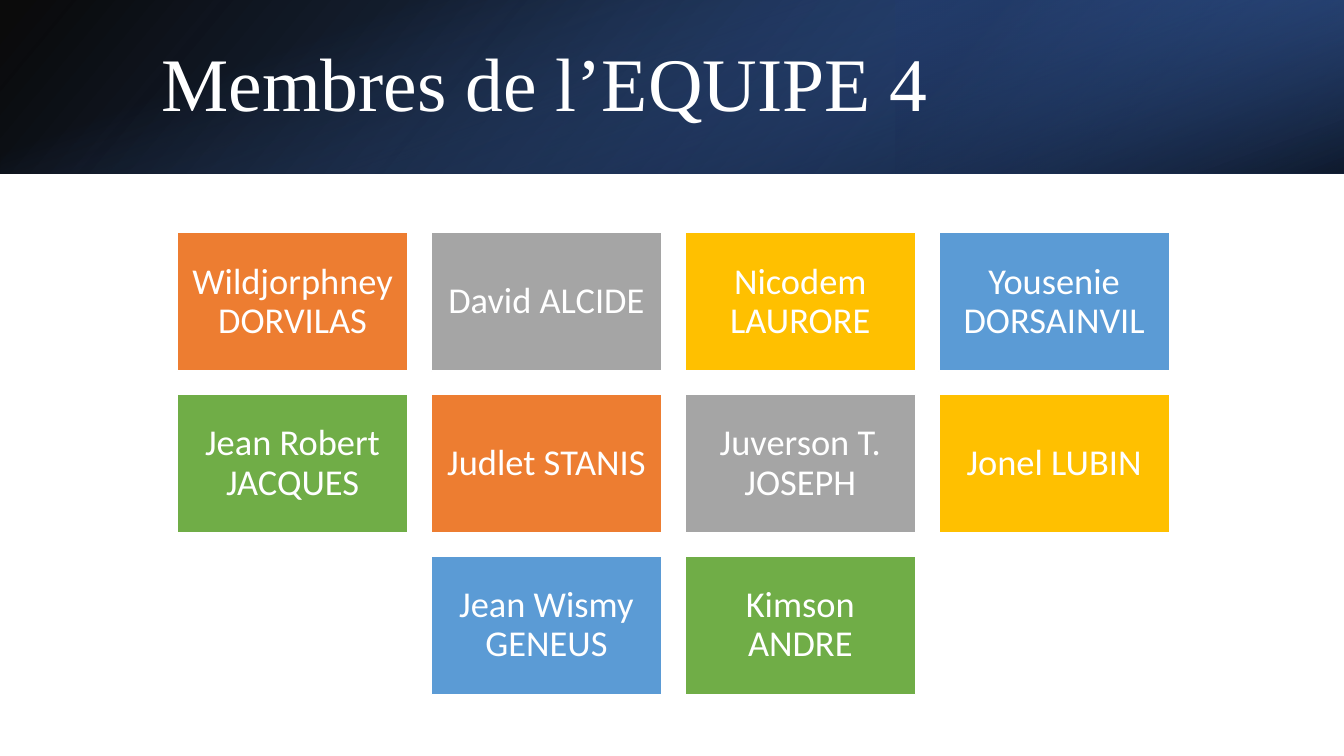
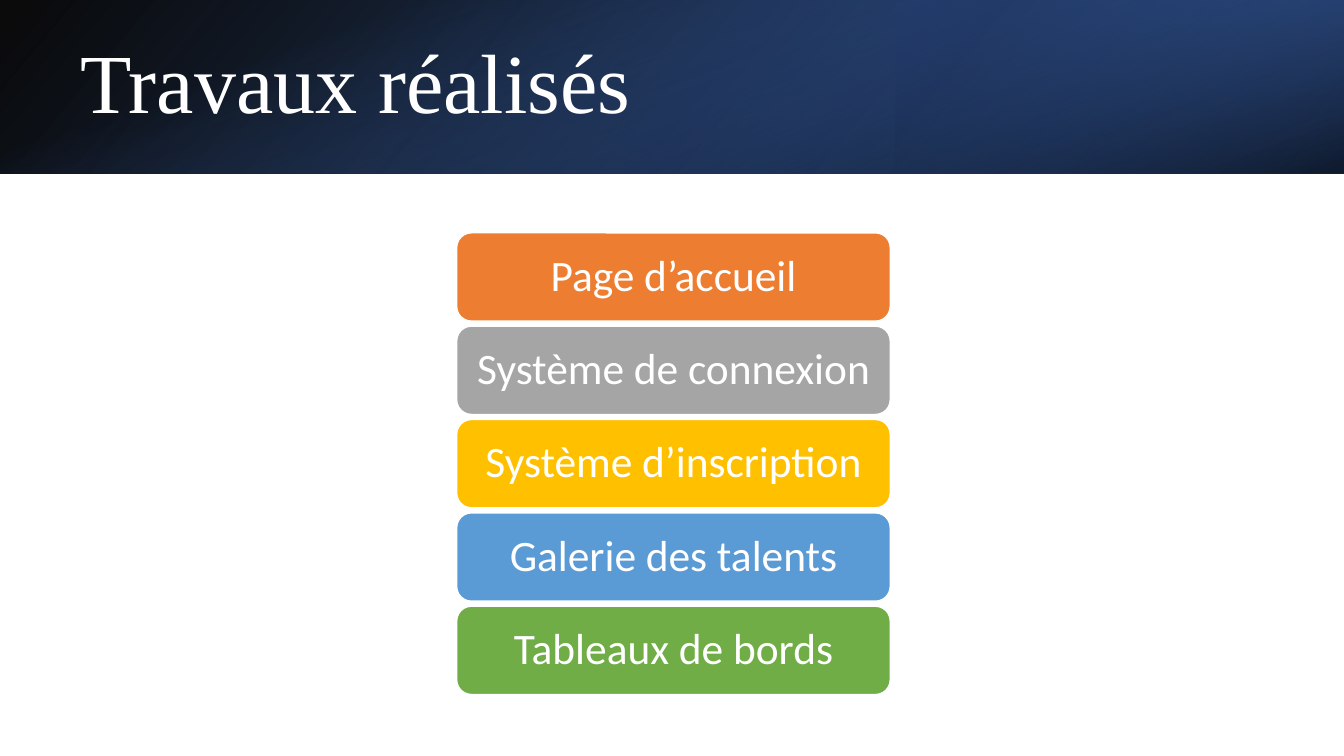
from math import ceil

from pptx import Presentation
from pptx.dml.color import RGBColor
from pptx.enum.shapes import MSO_SHAPE
from pptx.enum.text import MSO_ANCHOR, MSO_AUTO_SIZE, PP_ALIGN
from pptx.oxml import parse_xml
from pptx.oxml.ns import nsdecls
from pptx.util import Inches, Pt

RECT, ROUNDED = MSO_SHAPE.RECTANGLE, MSO_SHAPE.ROUNDED_RECTANGLE
MIDDLE, NO_FIT = MSO_ANCHOR.MIDDLE, MSO_AUTO_SIZE.NONE
LEFT, CENTER = PP_ALIGN.LEFT, PP_ALIGN.CENTER

WHITE = RGBColor(0xFF, 0xFF, 0xFF)
BLACK = RGBColor(0x00, 0x00, 0x00)
BLUE = RGBColor(0x44, 0x72, 0xC4)
DEEP_BLUE = RGBColor(0x2F, 0x55, 0x97)
NAVY = RGBColor(0x20, 0x38, 0x64)
ACCENTS = [
    RGBColor(0xED, 0x7D, 0x31),
    RGBColor(0xA5, 0xA5, 0xA5),
    RGBColor(0xFF, 0xC0, 0x00),
    RGBColor(0x5B, 0x9B, 0xD5),
    RGBColor(0x70, 0xAD, 0x47),
]
TITLE_FONT, BODY_FONT = "Times New Roman", "Calibri"

WIDTH, HEIGHT = 13.33, 7.5
BAND = 1.72
GRID_CENTER, GRID_TOP, GRID_HEIGHT = 6.68, 2.31, 4.58

BANDS = [
    dict(box=(0, 0, WIDTH, BAND), rotation=0, flip=True, angle=140,
         stops=[(0, BLACK, 96), (100, DEEP_BLUE, 100)]),
    dict(box=(WIDTH * 2 / 3, 0, WIDTH / 3, BAND), rotation=180, flip=True, angle=320,
         stops=[(19, NAVY, 68), (100, BLUE, 79)]),
    dict(box=((WIDTH - BAND) / 2, (BAND - WIDTH) / 2, BAND, WIDTH), rotation=90,
         flip=False, angle=340, stops=[(23, BLUE, 0), (99, BLACK, 74)]),
]

SLIDES = [
    dict(
        title="Membres de l’EQUIPE 4", title_left=1.5, title_size=54,
        labels=[
            "Wildjorphney DORVILAS", "David ALCIDE", "Nicodem LAURORE",
            "Yousenie DORSAINVIL", "Jean Robert JACQUES", "Judlet STANIS",
            "Juverson T. JOSEPH", "Jonel LUBIN", "Jean Wismy GENEUS",
            "Kimson ANDRE",
        ],
        grid=dict(kind=RECT, cols=4, width=9.84, gap=0.23, size=26, insets=(0.11, 0.11)),
    ),
    dict(
        title="Travaux réalisés", title_left=0.7, title_size=60,
        labels=[
            "Page d’accueil", "Système de connexion", "Système d’inscription",
            "Galerie des talents", "Tableaux de bords",
        ],
        grid=dict(kind=ROUNDED, cols=1, width=4.3, gap=0.05, size=31, insets=(0.13, 0.06)),
    ),
]


def add_box(s, kind, box):
    sp = s.shapes.add_shape(kind, *map(Inches, box))
    sp.shadow.inherit = False
    return sp


def gradient(stops, angle):
    marks = "".join(
        f'<a:gs pos="{pos * 1000}"><a:srgbClr val="{color}">'
        f'<a:alpha val="{alpha * 1000}"/></a:srgbClr></a:gs>'
        for pos, color, alpha in stops
    )
    return parse_xml(
        f'<a:gradFill {nsdecls("a")} rotWithShape="1"><a:gsLst>{marks}</a:gsLst>'
        f'<a:lin ang="{angle * 60000}" scaled="0"/></a:gradFill>'
    )


def add_bands(s):
    tree = s.slide_layout.shapes.element
    for i, band in enumerate(BANDS):
        sp = add_box(s, RECT, band["box"])
        sp.rotation = band["rotation"]
        sp.line.fill.background()
        sp.fill.background()
        sp_pr = sp.element.spPr
        sp_pr.replace(sp_pr.xpath("./a:noFill")[0], gradient(band["stops"], band["angle"]))
        if band["flip"]:
            sp_pr.xpath("./a:xfrm")[0].set("flipH", "1")
        sp.element.xpath(".//p:cNvPr")[0].set("id", str(100 + i))
        tree.insert(2 + i, sp.element)


def write(sp, text, font, size, align):
    tf = sp.text_frame
    tf.text = text
    tf.word_wrap = True
    tf.auto_size = NO_FIT
    tf.vertical_anchor = MIDDLE
    p = tf.paragraphs[0]
    p.alignment = align
    p.line_spacing = 0.9
    r = p.runs[0]
    r.font.name = font
    r.font.size = Pt(size)
    r.font.color.rgb = WHITE


def add_title(s, text, left, size):
    sp = s.shapes.title
    sp.left, sp.top, sp.width, sp.height = map(Inches, (left, 0.38, 10.98, 0.96))
    write(sp, text, TITLE_FONT, size, LEFT)


def add_grid(s, labels, kind, cols, width, gap, size, insets):
    rows = ceil(len(labels) / cols)
    w = (width - gap * (cols - 1)) / cols
    h = (GRID_HEIGHT - gap * (rows - 1)) / rows
    for i, label in enumerate(labels):
        row, col = divmod(i, cols)
        in_row = min(cols, len(labels) - row * cols)
        left = GRID_CENTER - (in_row * (w + gap) - gap) / 2
        sp = add_box(s, kind, (left + col * (w + gap), GRID_TOP + row * (h + gap), w, h))
        sp.fill.solid()
        sp.fill.fore_color.rgb = ACCENTS[i % len(ACCENTS)]
        sp.line.color.rgb = WHITE
        sp.line.width = Pt(1)
        write(sp, label, BODY_FONT, size, CENTER)
        tf = sp.text_frame
        tf.margin_left = tf.margin_right = Inches(insets[0])
        tf.margin_top = tf.margin_bottom = Inches(insets[1])


def main():
    prs = Presentation()
    prs.slide_width, prs.slide_height = Inches(WIDTH), Inches(HEIGHT)
    layout = prs.slide_layouts.get_by_name("Title Only")
    for i, content in enumerate(SLIDES):
        s = prs.slides.add_slide(layout)
        if i == 0:
            add_bands(s)
        add_title(s, content["title"], content["title_left"], content["title_size"])
        add_grid(s, content["labels"], **content["grid"])
    prs.save("out.pptx")


if __name__ == "__main__":
    main()
